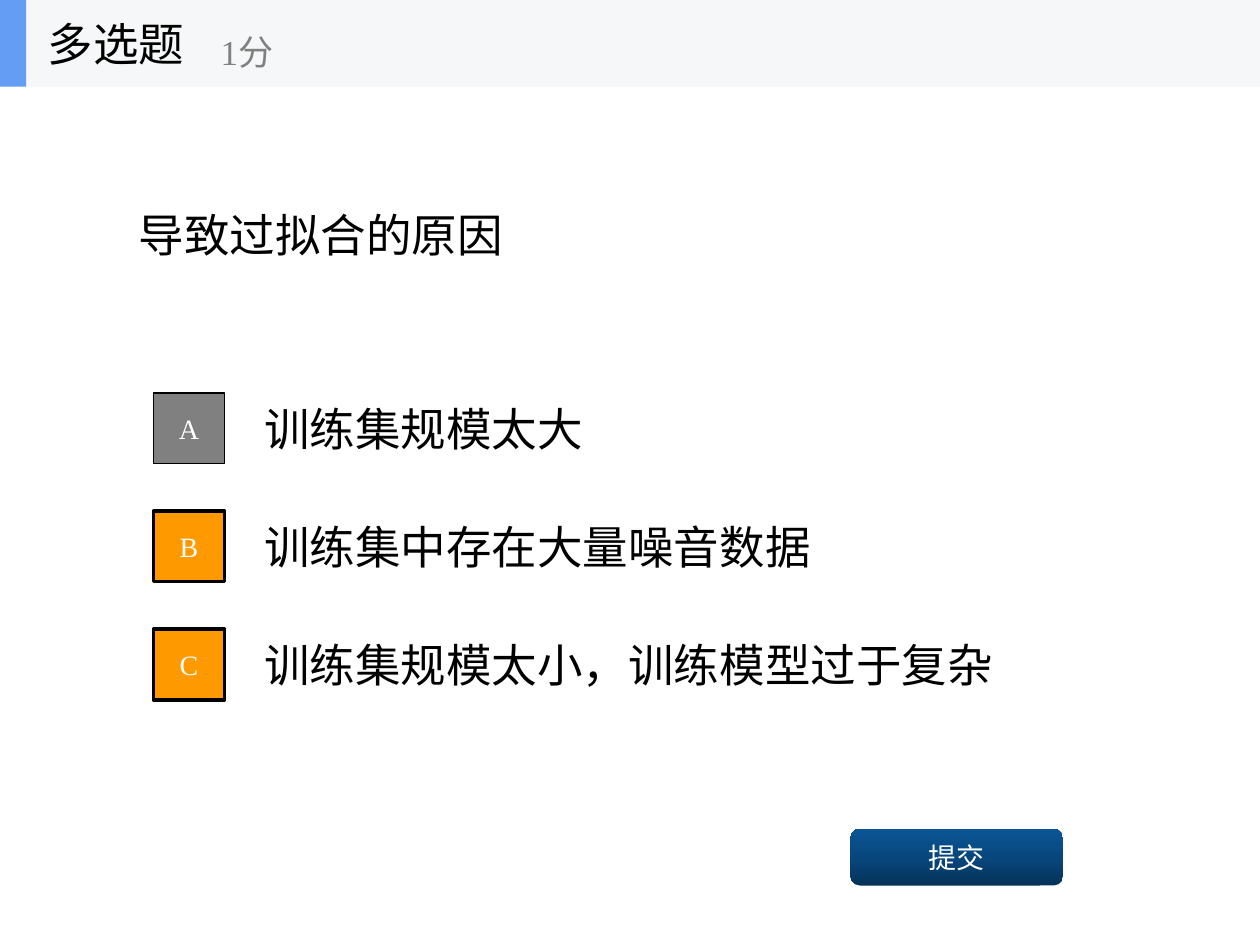
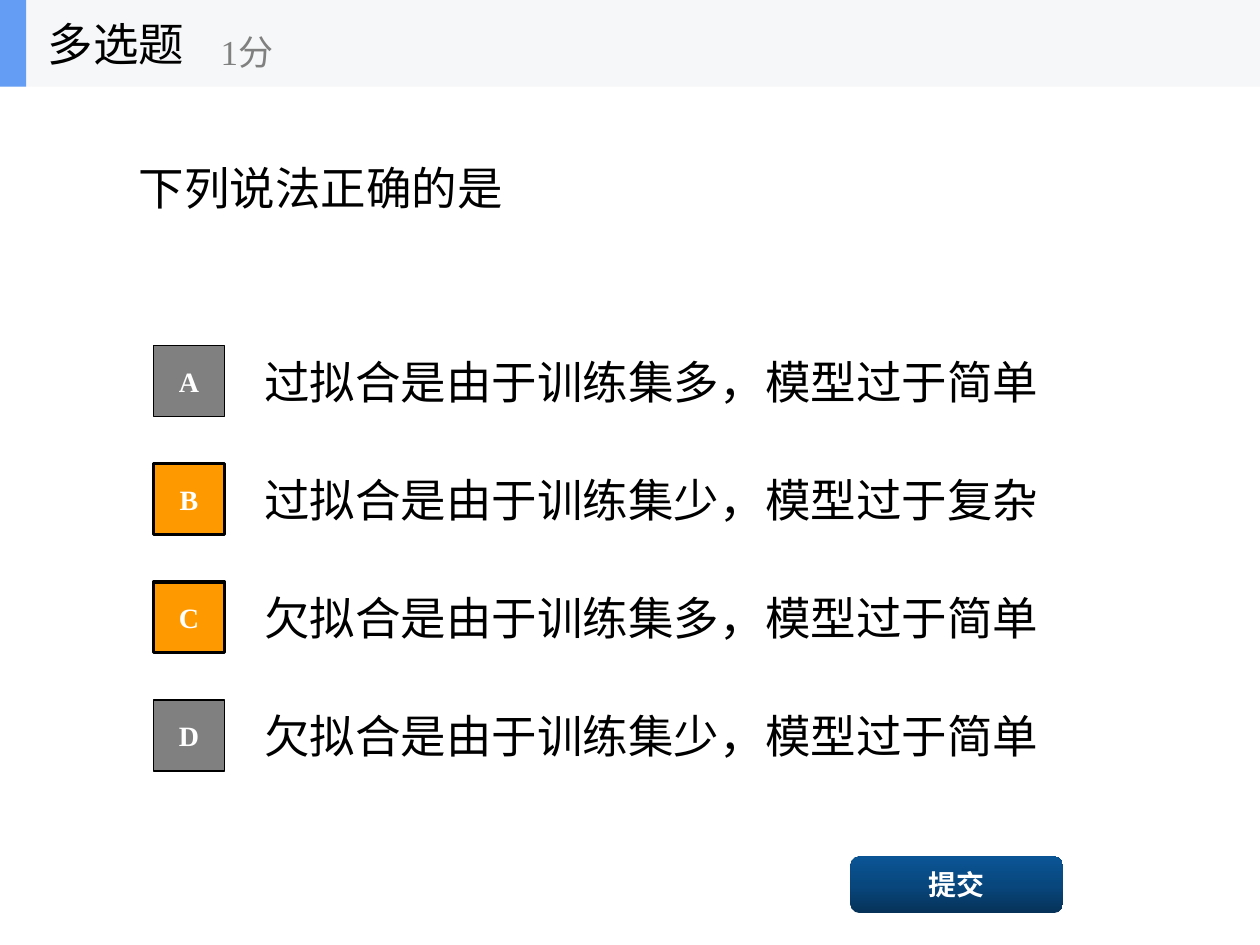
import copy

import pptx
import pptx.dml.color
import pptx.enum.shapes
import pptx.enum.text
import pptx.oxml.ns
import pptx.util

Pt = pptx.util.Pt
SHAPES = pptx.enum.shapes.MSO_SHAPE
ALIGN = pptx.enum.text.PP_ALIGN

QUESTIONS = [
    {
        "question": "导致过拟合的原因",
        "options": ["训练集规模太大", "训练集中存在大量噪音数据",
                    "训练集规模太小，训练模型过于复杂"],
        "correct": "BC",
        "question_height": 168.75, "options_top": 219.4, "submit_top": 473.6,
        "bold": False,
    },
    {
        "question": "下列说法正确的是",
        "options": ["过拟合是由于训练集多，模型过于简单", "过拟合是由于训练集少，模型过于复杂",
                    "欠拟合是由于训练集多，模型过于简单", "欠拟合是由于训练集少，模型过于简单"],
        "correct": "BC",
        "question_height": 115.2, "options_top": 192.4, "submit_top": 489.4,
        "bold": True,
    },
]
KIND, SCORE, SUBMIT = "多选题", "1分", "提交"

WIDTH, HEIGHT, HEADER_HEIGHT = 720, 540, 49.5
OPTION_PITCH, OPTION_HEIGHT, BADGE_SIZE = 67.5, 50.6, 40.5
BLACK, WHITE, GREY, ORANGE = "000000", "FFFFFF", "808080", "FF9900"
HEADER_FILL, ACCENT = "F6F7F8", "639EF4"
SUBMIT_STOPS = [(0, "063258"), (0.5, "08477E"), (1, "0A5595")]

LARGE = {"size": Pt(26), "color": BLACK}
SMALL = {"size": Pt(20), "color": GREY}
BUTTON = {"size": Pt(16), "color": WHITE}


def rgb(value):
    return pptx.dml.color.RGBColor.from_string(value)


def set_text(shape, text, style, align=ALIGN.LEFT):
    frame = shape.text_frame
    frame.auto_size = pptx.enum.text.MSO_AUTO_SIZE.NONE
    frame.word_wrap = True
    frame.vertical_anchor = pptx.enum.text.MSO_ANCHOR.MIDDLE
    frame.text = text
    paragraph = frame.paragraphs[0]
    paragraph.alignment = align
    font = paragraph.runs[0].font
    for name, value in {"name": "Times New Roman", "bold": False, **style}.items():
        if name == "color":
            font.color.rgb = rgb(value)
        else:
            setattr(font, name, value)


def add_text(slide, box, text, style):
    set_text(slide.shapes.add_textbox(*map(Pt, box)), text, style)


def add_block(slide, box, fill=None, line_width=0, kind=SHAPES.RECTANGLE):
    shape = slide.shapes.add_shape(kind, *map(Pt, box))
    shape.shadow.inherit = False
    if fill:
        shape.fill.solid()
        shape.fill.fore_color.rgb = rgb(fill)
    if line_width:
        shape.line.color.rgb = rgb(BLACK)
        shape.line.width = Pt(line_width)
    else:
        shape.line.fill.background()
    return shape


def fill_gradient(shape, stops):
    """Fill upwards through three stops; a new gradient has only two."""
    shape.fill.gradient()
    shape.fill.gradient_angle = 90
    stop_list = shape.element.spPr.find(".//" + pptx.oxml.ns.qn("a:gsLst"))
    stop_list.insert(1, copy.deepcopy(stop_list[0]))
    for stop, (position, color) in zip(shape.fill.gradient_stops, stops):
        stop.position = position
        stop.color.rgb = rgb(color)


def add_options(slide, item):
    tops = [item["options_top"] + OPTION_PITCH * row for row in range(len(item["options"]))]
    for top, option in zip(tops, item["options"]):
        add_text(slide, (144, top, 504, OPTION_HEIGHT), option, LARGE)
    for top, letter in zip(tops, "ABCD"):
        correct = letter in item["correct"]
        box = (87.75, top + (OPTION_HEIGHT - BADGE_SIZE) / 2, BADGE_SIZE, BADGE_SIZE)
        badge = add_block(slide, box, ORANGE if correct else GREY, 2 if correct else 1)
        set_text(badge, letter, {**BUTTON, "bold": item["bold"]}, ALIGN.CENTER)


def add_submit(slide, item):
    button = add_block(slide, (486, item["submit_top"], 121.5, 32.4),
                       kind=SHAPES.ROUNDED_RECTANGLE)
    fill_gradient(button, SUBMIT_STOPS)
    set_text(button, SUBMIT, {**BUTTON, "bold": item["bold"]}, ALIGN.CENTER)


def add_header(slide):
    add_block(slide, (0, 0, WIDTH, HEADER_HEIGHT), HEADER_FILL)
    add_block(slide, (0, 0, 15, HEADER_HEIGHT), ACCENT)
    add_text(slide, (20.25, 0, 150, HEADER_HEIGHT), KIND, LARGE)
    add_text(slide, (119, 9, 180, 40.5), SCORE, SMALL)


def add_question(presentation, item):
    slide = presentation.slides.add_slide(presentation.slide_layouts[5])
    title = slide.shapes.title
    box = (72, HEADER_HEIGHT, 576, item["question_height"])
    for name, value in zip(("left", "top", "width", "height"), box):
        setattr(title, name, Pt(value))
    set_text(title, item["question"], LARGE)
    add_options(slide, item)
    add_submit(slide, item)
    add_header(slide)


def main():
    presentation = pptx.Presentation()
    presentation.slide_width, presentation.slide_height = Pt(WIDTH), Pt(HEIGHT)
    for item in QUESTIONS:
        add_question(presentation, item)
    presentation.save("out.pptx")


if __name__ == "__main__":
    main()
